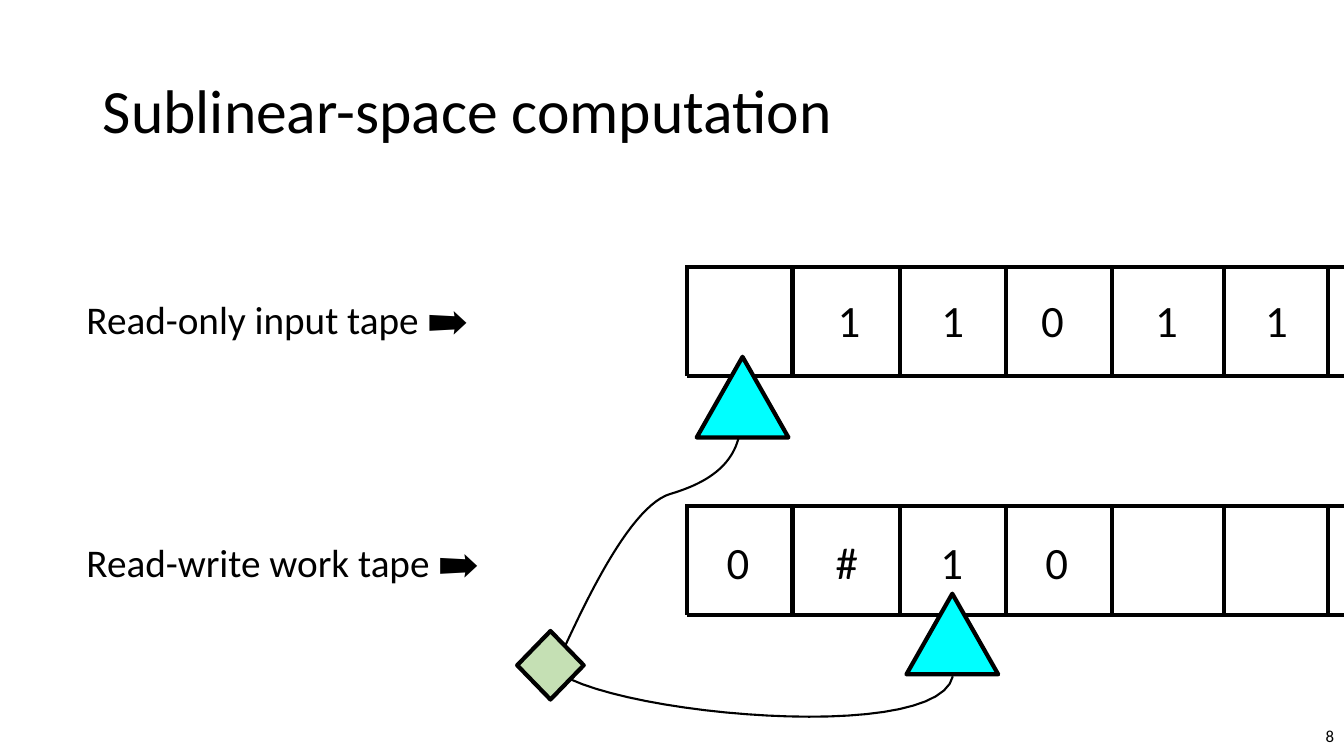
from pptx import Presentation
from pptx.dml.color import RGBColor
from pptx.enum.shapes import MSO_CONNECTOR, MSO_SHAPE
from pptx.enum.text import MSO_ANCHOR, MSO_AUTO_SIZE, PP_ALIGN
from pptx.oxml.ns import qn
from pptx.util import Pt
from lxml.etree import SubElement

PX = 9144  # 100 px to the inch
BLACK = RGBColor(0x00, 0x00, 0x00)
CYAN = RGBColor(0x00, 0xFF, 0xFF)
GREEN = RGBColor(0xC5, 0xE0, 0xB4)
WIDTH, HEIGHT = 1333, 750
CURVE_STEPS = 24

prs = Presentation()
prs.slide_width, prs.slide_height = WIDTH * PX, HEIGHT * PX
s = prs.slides.add_slide(prs.slide_layouts[5])


def write(text, x, y, w, h, size, box=None, align=PP_ALIGN.LEFT,
          anchor=MSO_ANCHOR.TOP, spacing=1.0):
    """Fill the given box, or a new text box, with one formatted line."""
    sp = box or s.shapes.add_textbox(0, 0, 0, 0)
    sp.left, sp.top, sp.width, sp.height = (v * PX for v in (x, y, w, h))
    tf = sp.text_frame
    tf.word_wrap = True
    tf.auto_size = MSO_AUTO_SIZE.NONE
    tf.vertical_anchor = anchor
    p = tf.paragraphs[0]
    p.alignment, p.line_spacing = align, spacing
    r = p.add_run()
    r.text = text
    r.font.name, r.font.size = "Calibri", Pt(size)
    r.font.color.rgb = BLACK


def outline(sp, width, fill=None):
    sp.shadow.inherit = False
    sp.line.color.rgb = BLACK
    sp.line.width = Pt(width)
    if fill is None:
        sp.fill.background()
    else:
        sp.fill.solid()
        sp.fill.fore_color.rgb = fill


write("Sublinear-space computation", 92, 40, 1150, 145, 44,
      box=s.shapes.title, anchor=MSO_ANCHOR.MIDDLE, spacing=0.9)
write("8", 1033, 710, 300, 40, 12, align=PP_ALIGN.RIGHT, anchor=MSO_ANCHOR.MIDDLE)

# Tapes: top edge, label, then symbols with their left edges
DIVIDERS = [681, 786, 893, 998, 1103, 1214, 1317]
RAISED = {681, 1103, 1214}
TAPES = [
    (265, "Read-only input tape ➡", 288, 286,
     [("1", 813), ("1", 916), ("0", 1015), ("1", 1128), ("1", 1237)]),
    (502, "Read-write work tape ➡", 529, 526,
     [("0", 703), ("#", 811), ("1", 915), ("0", 1019)]),
]
for top, label, label_y, symbol_y, symbols in TAPES:
    lines = [(DIVIDERS[0], y, WIDTH, y) for y in (top, top + 108)]
    for x in DIVIDERS:
        y = top - 2 if x in RAISED else top
        lines.append((x, y, x, y + 110))
    for ends in lines:
        edge = s.shapes.add_connector(MSO_CONNECTOR.STRAIGHT, *(v * PX for v in ends))
        edge.line.color.rgb = BLACK
        edge.line.width = Pt(3)
        SubElement(edge._element.spPr, qn("a:effectLst"))
    write(label, 76, label_y, 430, 57, 28)
    for symbol, x in symbols:
        write(symbol, x, symbol_y, 58, 64, 32, align=PP_ALIGN.CENTER)

# Wires from the heads to the control unit, as chained cubic Bézier curves
WIRES = [
    [(733, 433), (726, 462), (702, 479), (665, 490), (627, 501), (584, 590), (560, 642)],
    [(945, 671), (931, 734), (651, 713), (566, 674)],
]
for knots in WIRES:
    points = []
    for i in range(0, len(knots) - 1, 3):
        for step in range(1, CURVE_STEPS + 1):
            t = step / CURVE_STEPS
            weights = ((1 - t) ** 3, 3 * t * (1 - t) ** 2, 3 * t * t * (1 - t), t ** 3)
            points.append(tuple(
                round(PX * sum(k * knot[axis] for k, knot in zip(weights, knots[i:i + 4])))
                for axis in (0, 1)))
    start_x, start_y = knots[0]
    wire = s.shapes.build_freeform(start_x * PX, start_y * PX)
    wire.add_line_segments(points, close=False)
    outline(wire.convert_to_shape(), 1.5)

# Tape heads and control unit
for kind, x, y, w, h, fill in [
    (MSO_SHAPE.ISOSCELES_TRIANGLE, 691, 354, 91, 80, CYAN),
    (MSO_SHAPE.ISOSCELES_TRIANGLE, 899, 589, 91, 80, CYAN),
    (MSO_SHAPE.DIAMOND, 513, 626, 66, 68, GREEN),
]:
    outline(s.shapes.add_shape(kind, *(v * PX for v in (x, y, w, h))), 3, fill)

prs.save("out.pptx")
